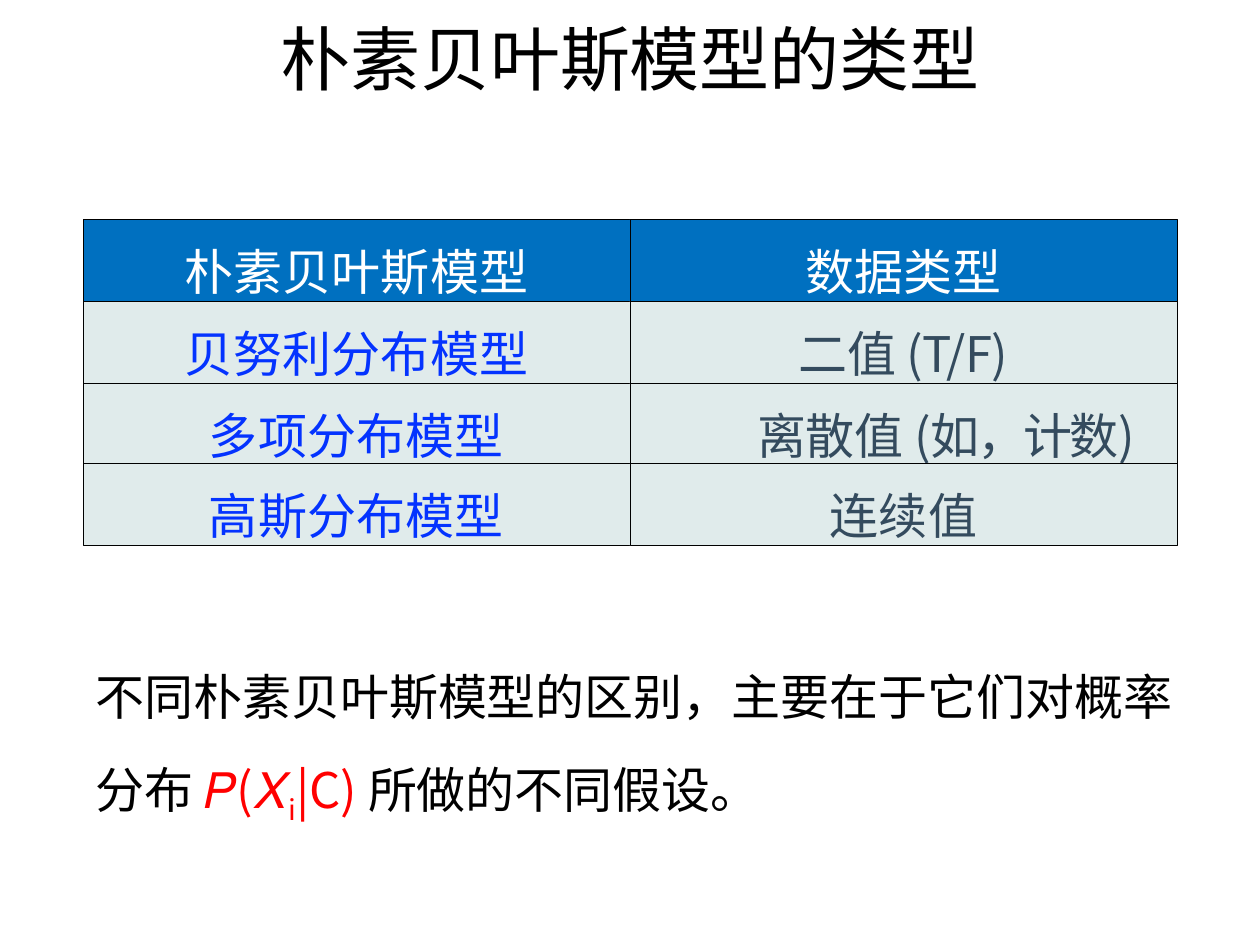
import pptx
import pptx.dml.color
import pptx.enum.shapes
import pptx.enum.text
import pptx.oxml
import pptx.oxml.ns
import pptx.util
from pptx.util import Inches

COLORS = {
    "header": "0070C0",
    "body": "E0EBEB",
    "white": "FFFFFF",
    "model": "0433FF",
    "data": "344B5E",
    "black": "000000",
    "formula": "FF0000",
}
CENTER = pptx.enum.text.PP_ALIGN.CENTER
LEFT = pptx.enum.text.PP_ALIGN.LEFT
MIDDLE = pptx.enum.text.MSO_ANCHOR.MIDDLE


def rgb(name):
    return pptx.dml.color.RGBColor.from_string(COLORS[name])


def add_text(paragraph, text, color="black", size=28, font="Noto Sans CJK SC",
             spacing=0, baseline=0):
    """Append one formatted run; spacing is in points, baseline in percent."""
    run = paragraph.add_run()
    run.text = text
    run.font.size = pptx.util.Pt(size)
    run.font.name = font
    run.font.color.rgb = rgb(color)
    properties = run.font._element
    if spacing:
        properties.set("spc", str(round(spacing * 100)))
    if baseline:
        properties.set("baseline", str(baseline * 1000))
    east_asian = pptx.oxml.parse_xml(
        f'<a:ea {pptx.oxml.ns.nsdecls("a")} typeface="Noto Sans CJK SC"/>')
    properties.find(pptx.oxml.ns.qn("a:latin")).addnext(east_asian)


class SlideBuilder:
    def __init__(self, presentation):
        self.slide = presentation.slides.add_slide(presentation.slide_layouts[6])

    def text_box(self, left, top, width, height, margin=None):
        """Add a wrapping text box and return its frame."""
        shape = self.slide.shapes.add_textbox(
            Inches(left), Inches(top), Inches(width), Inches(height))
        frame = shape.text_frame
        frame.word_wrap = True
        if margin is not None:
            frame.margin_left = frame.margin_right = Inches(margin)
            frame.margin_top = frame.margin_bottom = Inches(margin)
        return frame

    def cell(self, left, top, width, height, runs, fill, color, indent=None):
        """Add one outlined rectangle of the grid with its text."""
        shape = self.slide.shapes.add_shape(
            pptx.enum.shapes.MSO_SHAPE.RECTANGLE,
            Inches(left), Inches(top), Inches(width), Inches(height))
        shape.shadow.inherit = False
        shape.fill.solid()
        shape.fill.fore_color.rgb = rgb(fill)
        shape.line.color.rgb = rgb("black")
        shape.line.width = pptx.util.Pt(0.25)
        frame = shape.text_frame
        frame.word_wrap = True
        frame.vertical_anchor = MIDDLE
        frame.margin_left = frame.margin_right = frame.margin_bottom = 0
        frame.margin_top = Inches(0.17)
        paragraph = frame.paragraphs[0]
        if indent is None:
            paragraph.alignment = CENTER
        else:
            paragraph.alignment = LEFT
            paragraph._p.get_or_add_pPr().set("marL", str(Inches(indent)))
        for text, spacing in runs:
            add_text(paragraph, text, color=color, spacing=spacing)

    def grid(self, rows, left, row_tops, column_width, row_height):
        for row_index, (top, row) in enumerate(zip(row_tops, rows)):
            for column, content in enumerate(row):
                if row_index == 0:
                    fill, color = "header", "white"
                else:
                    fill, color = "body", ("model", "data")[column]
                self.cell(left + column * column_width, top, column_width,
                          row_height, fill=fill, color=color, **content)


def main():
    presentation = pptx.Presentation()
    presentation.slide_width = Inches(10)
    presentation.slide_height = Inches(7.5)
    builder = SlideBuilder(presentation)

    # Model types and the data they suit; runs are (text, letter spacing)
    discrete = [("离散值 ", -0.1), ("(如，计数", -1.5), (")", -0.1)]
    rows = [
        [{"runs": [("朴素贝叶斯模型", 0.1)]}, {"runs": [("数据类型", 0.1)]}],
        [{"runs": [("贝努利分布模型", 0.1)]},
         {"runs": [("二值 ", -0.1), ("(T/F)", -0.3)]}],
        [{"runs": [("多项分布模型", 0.2)]}, {"runs": discrete, "indent": 1.01}],
        [{"runs": [("高斯分布模型", 0.2)]}, {"runs": [("连续值", 0.2)]}],
    ]
    builder.grid(rows, left=0.66, row_tops=(1.74, 2.39, 3.04, 3.68),
                 column_width=4.34, row_height=0.65)

    # Title
    frame = builder.text_box(0.5, 0, 9, 0.92, margin=0)
    frame.vertical_anchor = MIDDLE
    frame.paragraphs[0].alignment = CENTER
    add_text(frame.paragraphs[0], "朴素贝叶斯模型的类型", size=40, font="Arial")

    # Explanation with the conditional probability
    paragraph = builder.text_box(0.66, 5.01, 8.78, 1.43).paragraphs[0]
    paragraph.line_spacing = 1.5
    add_text(paragraph, "不同朴素贝叶斯模型的区别，主要在于它们对概率分布 ")
    add_text(paragraph, "𝑃(𝑋", color="formula")
    add_text(paragraph, "i", color="formula", baseline=-25)
    add_text(paragraph, "|C) ", color="formula")
    add_text(paragraph, "所做的不同假设。")

    presentation.save("out.pptx")


if __name__ == "__main__":
    main()
